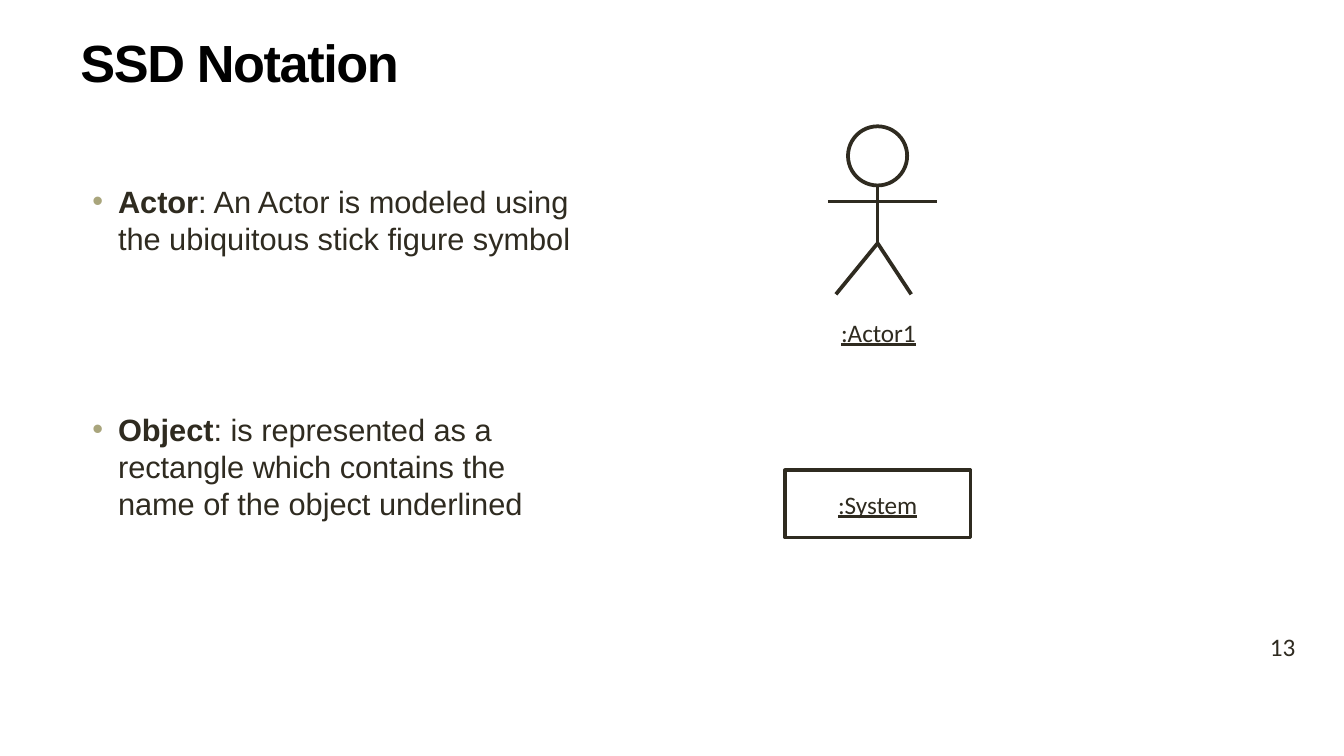
from lxml import etree
from pptx import Presentation
from pptx import util as u
from pptx.dml.color import RGBColor
from pptx.enum import shapes, text
from pptx.oxml.ns import qn

COLORS = {"title": "000000", "ink": "2F2B20", "bullet": "A9A57C"}
LINE_WIDTH = u.Pt(2)
BODY_LEADING = 19.8

NOTATION = [
    ("Actor", ": An Actor is modeled using \vthe ubiquitous stick figure symbol"),
    ("Object", ": is represented as a \vrectangle which contains the \v"
               "name of the object underlined"),
]


def rgb(name):
    return RGBColor.from_string(COLORS[name])


def add_run(paragraph, words, *, size, font="Calibri", color="ink",
            bold=False, underline=False, tracking=None):
    """Add words to a paragraph; a vertical tab marks a line break."""
    for index, line in enumerate(words.split("\v")):
        if index:
            paragraph.add_line_break()
        run = paragraph.add_run()
        run.text = line
        run.font.size = u.Pt(size)
        run.font.name = font
        run.font.color.rgb = rgb(color)
        run.font.bold = bold
        run.font.underline = underline
        if tracking is not None:
            run.font._element.set("spc", str(round(tracking * 100)))


def add_text_frame(slide, left, top, width, height, anchor=text.MSO_ANCHOR.TOP):
    box = slide.shapes.add_textbox(*map(u.Inches, (left, top, width, height)))
    frame = box.text_frame
    frame.word_wrap = True
    frame.vertical_anchor = anchor
    return frame


def add_outline(slide, preset, left, top, width, height):
    outline = slide.shapes.add_shape(
        preset, *map(u.Inches, (left, top, width, height)))
    outline.shadow.inherit = False
    outline.fill.background()
    outline.line.color.rgb = rgb("ink")
    outline.line.width = LINE_WIDTH
    return outline


def add_limb(slide, start, end):
    limb = slide.shapes.add_connector(
        shapes.MSO_CONNECTOR.STRAIGHT, *map(u.Inches, (*start, *end)))
    limb.line.color.rgb = rgb("ink")
    limb.line.width = LINE_WIDTH
    etree.SubElement(limb._element.spPr, qn("a:effectLst"))


def set_bullet(paragraph):
    properties = paragraph._p.get_or_add_pPr()
    properties.set("marL", str(u.Inches(0.28)))
    properties.set("indent", str(u.Inches(-0.19)))
    color = etree.SubElement(properties, qn("a:buClr"))
    etree.SubElement(color, qn("a:srgbClr"), val=COLORS["bullet"])
    etree.SubElement(properties, qn("a:buFont"), typeface="Arial")
    etree.SubElement(properties, qn("a:buChar"), char="•")


def add_title(slide, left, top, width, height):
    frame = add_text_frame(slide, left, top, width, height,
                           text.MSO_ANCHOR.MIDDLE)
    add_run(frame.paragraphs[0], "SSD Notation", size=28, font="Arial",
            color="title", bold=True, tracking=-0.75)


def add_definitions(slide, left, top, width, height):
    frame = add_text_frame(slide, left, top, width, height)
    for index, (term, meaning) in enumerate(NOTATION):
        paragraph = frame.add_paragraph() if index else frame.paragraphs[0]
        set_bullet(paragraph)
        paragraph.line_spacing = u.Pt(BODY_LEADING)
        if index:
            paragraph.space_before = u.Pt(82.5)
        add_run(paragraph, term, size=16.5, font="Arial", bold=True)
        add_run(paragraph, meaning, size=16.5, font="Arial")


def add_actor(slide, left, top):
    """Draw the stick figure and its label from the top left corner."""
    head = 0.44
    center = left + 0.37
    neck, arms, hips, feet = (top + drop for drop in (head, 0.56, 0.87, 1.25))
    add_outline(slide, shapes.MSO_SHAPE.FLOWCHART_CONNECTOR,
                center - head / 2, top, head, head)
    add_limb(slide, (center, neck), (center, hips))
    for foot in (center - 0.31, center + 0.25):
        add_limb(slide, (center, hips), (foot, feet))
    add_limb(slide, (left, arms), (left + 0.81, arms))
    label = add_text_frame(slide, left, top + 1.37, 1.06, 0.33)
    add_run(label.paragraphs[0], ":Actor1", size=13.5, underline=True)


def add_system(slide, left, top, width, height):
    system = add_outline(slide, shapes.MSO_SHAPE.FLOWCHART_PROCESS,
                         left, top, width, height)
    frame = system.text_frame
    frame.word_wrap = False
    frame.vertical_anchor = text.MSO_ANCHOR.MIDDLE
    name = frame.paragraphs[0]
    name.alignment = text.PP_ALIGN.CENTER
    add_run(name, ":System", size=13.5, underline=True)


def add_page_number(slide, left, top, width, height):
    frame = add_text_frame(slide, left, top, width, height)
    add_run(frame.paragraphs[0], "13", size=13.5)


def main():
    deck = Presentation()
    deck.slide_width = u.Inches(10)
    deck.slide_height = deck.slide_width * 9 // 16
    slide = deck.slides.add_slide(deck.slide_layouts[6])
    add_title(slide, 0.5, 0.23, 8.99, 0.46)
    add_definitions(slide, 0.5, 1.31, 8.99, 3.94)
    add_system(slide, 5.84, 3.5, 1.38, 0.5)
    add_actor(slide, 6.16, 0.94)
    add_page_number(slide, 9.35, 4.65, 0.6, 0.33)
    deck.save("out.pptx")


if __name__ == "__main__":
    main()
